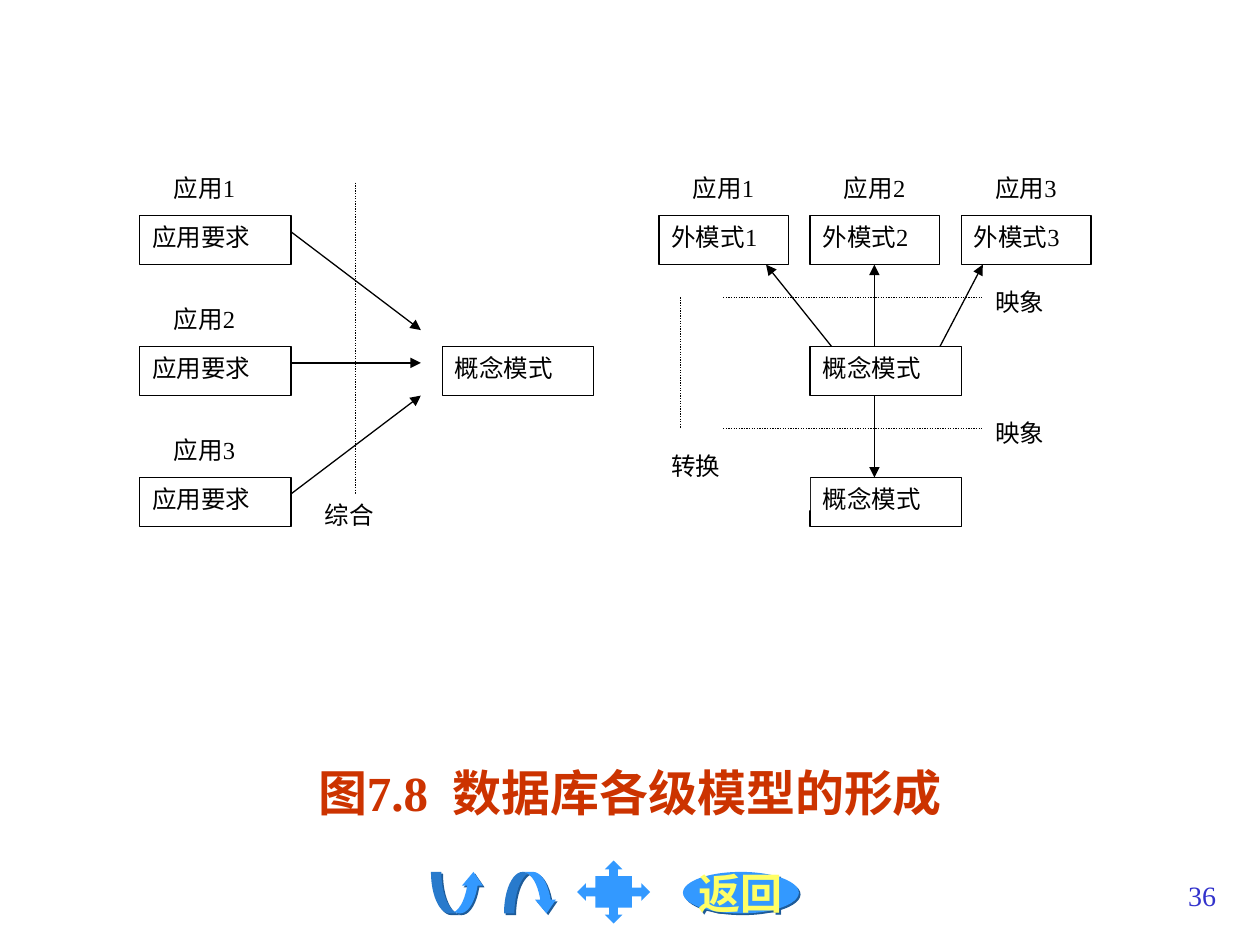
from lxml import etree
from pptx import Presentation
from pptx import util as u
from pptx.dml.color import RGBColor
from pptx.enum import dml, shapes, text
from pptx.oxml.ns import qn

COLORS = {"ink": "000000", "paper": "FFFFFF", "caption": "CC3300", "button": "3399FF",
          "button shadow": "1E5B98", "button text": "FFFF66", "number": "3333CC"}
FONT = "Times New Roman"

# Content
APPLICATIONS = ["应用1", "应用2", "应用3"]
REQUIREMENT = "应用要求"
EXTERNAL_SCHEMAS = ["外模式1", "外模式2", "外模式3"]
CONCEPT = "概念模式"
CAPTION = ["图7.8", " ", "数据库各级模型的形成"]
CAPTION_GAP = "700"  # extra width of the space, in 1/100 point

# Grid of the two diagrams
ROW_TOPS = [1.71 + 1.04 * row for row in range(3)]
COLUMN_LEFTS = [5.23 + 1.2 * column for column in range(3)]
REQUIREMENT_LEFT, CONCEPT_LEFT = 1.11, 3.51
BOX_WIDTH, SCHEMA_WIDTH, BOX_HEIGHT = 1.2, 1.03, 0.39
LABEL_OFFSET = (0.17, -0.39)

NOTES = [("综合", 2.48, 3.92), ("转换", 5.23, 3.53), ("映象", 7.8, 3.27), ("映象", 7.8, 2.23)]
ARROWS = [
    (2.31, 1.84, 3.34, 2.62), (2.31, 2.88, 3.34, 2.88), (2.31, 3.92, 3.34, 3.14),
    (6.6, 2.75, 6.08, 2.1), (6.94, 2.75, 6.94, 2.1), (7.46, 2.75, 7.8, 2.1),
    (6.94, 3.14, 6.94, 3.79),
]
DOTTED_LINES = [(2.82, 1.45, 2.82, 3.92), (5.4, 2.36, 5.4, 3.4),
                (5.74, 2.36, 7.8, 2.36), (5.74, 3.4, 7.8, 3.4)]

# Navigation buttons: shape, position, adjustments, shadow, text
KIND = shapes.MSO_SHAPE
BUTTONS = [
    (KIND.CURVED_UP_ARROW, (3.42, 6.92, 0.42, 0.33), (0.25, 0.5, 0.33), True, ""),
    (KIND.CURVED_DOWN_ARROW, (4, 6.92, 0.42, 0.33), (0.25, 0.5, 0.33), True, ""),
    (KIND.OVAL, (5.42, 6.92, 0.92, 0.33), (), True, "返回"),
    (KIND.QUAD_ARROW_CALLOUT, (4.58, 6.83, 0.58, 0.5), (0.14, 0.14, 0.14, 0.5), False, ""),
]


def color(name):
    return RGBColor.from_string(COLORS[name])


def add_run(paragraph, words, size, color_name, bold=False):
    run = paragraph.add_run()
    run.text = words
    run.font.name, run.font.size, run.font.bold = FONT, u.Pt(size), bold
    run.font.color.rgb = color(color_name)
    return run


def add_filled_shape(slide, kind, position, fill):
    shape = slide.shapes.add_shape(kind, *map(u.Inches, position))
    shape.shadow.inherit = False
    shape.fill.solid()
    shape.fill.fore_color.rgb = color(fill)
    shape.line.fill.background()
    return shape


def add_box(slide, words, left, top, width=BOX_WIDTH, height=BOX_HEIGHT, outlined=True):
    box = add_filled_shape(slide, KIND.RECTANGLE, (left, top, width, height), "paper")
    if outlined:
        box.line.color.rgb = color("ink")
        box.line.width = u.Pt(0.75)
    frame = box.text_frame
    frame.word_wrap = True
    frame.vertical_anchor = text.MSO_ANCHOR.TOP
    paragraph = frame.paragraphs[0]
    paragraph.alignment = text.PP_ALIGN.JUSTIFY
    add_run(paragraph, words, 14, "ink")


def add_label(slide, words, left, top):
    add_box(slide, words, left, top, height=0.52, outlined=False)


def add_line(slide, ends, arrow=False):
    line = slide.shapes.add_connector(shapes.MSO_CONNECTOR.STRAIGHT, *map(u.Inches, ends))
    line.line.color.rgb = color("ink")
    line.line.width = u.Pt(0.75)
    if arrow:
        etree.SubElement(line.line._get_or_add_ln(), qn("a:tailEnd"), type="triangle")
    else:
        line.line.dash_style = dml.MSO_LINE.ROUND_DOT
    etree.SubElement(line._element.spPr, qn("a:effectLst"))


def add_button(slide, kind, position, adjustments, shadowed, words):
    button = add_filled_shape(slide, kind, position, "button")
    for index, value in enumerate(adjustments):
        button.adjustments[index] = value
    if shadowed:
        effects = button._element.spPr.find(qn("a:effectLst"))
        shadow = etree.SubElement(effects, qn("a:outerShdw"), dist="17780", dir="2700000",
                                  algn="ctr", rotWithShape="0")
        etree.SubElement(shadow, qn("a:srgbClr"), val=COLORS["button shadow"])
    if words:
        frame = button.text_frame
        frame.word_wrap = False
        frame.vertical_anchor = text.MSO_ANCHOR.MIDDLE
        frame.paragraphs[0].alignment = text.PP_ALIGN.CENTER
        add_run(frame.paragraphs[0], words, 24, "button text", bold=True)


def add_caption(slide):
    body = slide.placeholders[1]
    body.left, body.top, body.width, body.height = map(u.Inches, (0.75, 6, 8.5, 0.67))
    body.text_frame.auto_size = text.MSO_AUTO_SIZE.NONE
    paragraph = body.text_frame.paragraphs[0]
    paragraph.alignment = text.PP_ALIGN.CENTER
    paragraph.space_before = u.Pt(0)
    properties = paragraph._p.get_or_add_pPr()
    properties.set("marL", "0")
    properties.set("indent", "0")
    etree.SubElement(properties, qn("a:buNone"))
    for words in CAPTION:
        run = add_run(paragraph, words, 28, "caption", bold=True)
        if words == " ":
            run._r.get_or_add_rPr().set("spc", CAPTION_GAP)


def add_slide_number(slide):
    box = slide.shapes.add_textbox(*map(u.Inches, (7.67, 6.92, 2.08, 0.5)))
    box.text_frame.word_wrap = True
    paragraph = box.text_frame.paragraphs[0]
    paragraph.alignment = text.PP_ALIGN.RIGHT
    add_run(paragraph, "36", 16, "number")


def main():
    presentation = Presentation()
    presentation.slide_width, presentation.slide_height = u.Inches(10), u.Inches(7.5)
    slide = presentation.slides.add_slide(presentation.slide_layouts[1])
    title = slide.shapes.title._element
    title.getparent().remove(title)

    for button in BUTTONS:
        add_button(slide, *button)
    add_caption(slide)

    # Application names above their boxes
    across, up = LABEL_OFFSET
    for name, row_top, column_left in zip(APPLICATIONS, ROW_TOPS, COLUMN_LEFTS):
        add_label(slide, name, REQUIREMENT_LEFT + across, row_top + up)
        add_label(slide, name, column_left + across, ROW_TOPS[0] + up)

    # Requirements, external schemas and conceptual schemas
    for schema, row_top, column_left in zip(EXTERNAL_SCHEMAS, ROW_TOPS, COLUMN_LEFTS):
        add_box(slide, REQUIREMENT, REQUIREMENT_LEFT, row_top)
        add_box(slide, schema, column_left, ROW_TOPS[0], SCHEMA_WIDTH)
    add_box(slide, CONCEPT, CONCEPT_LEFT, ROW_TOPS[1])
    for row_top in ROW_TOPS[1:]:
        add_box(slide, CONCEPT, COLUMN_LEFTS[1], row_top)

    # Arrows, dotted lines and their notes
    for ends in ARROWS:
        add_line(slide, ends, arrow=True)
    for ends in DOTTED_LINES:
        add_line(slide, ends)
    for note in NOTES:
        add_label(slide, *note)

    add_slide_number(slide)
    presentation.save("out.pptx")


if __name__ == "__main__":
    main()
